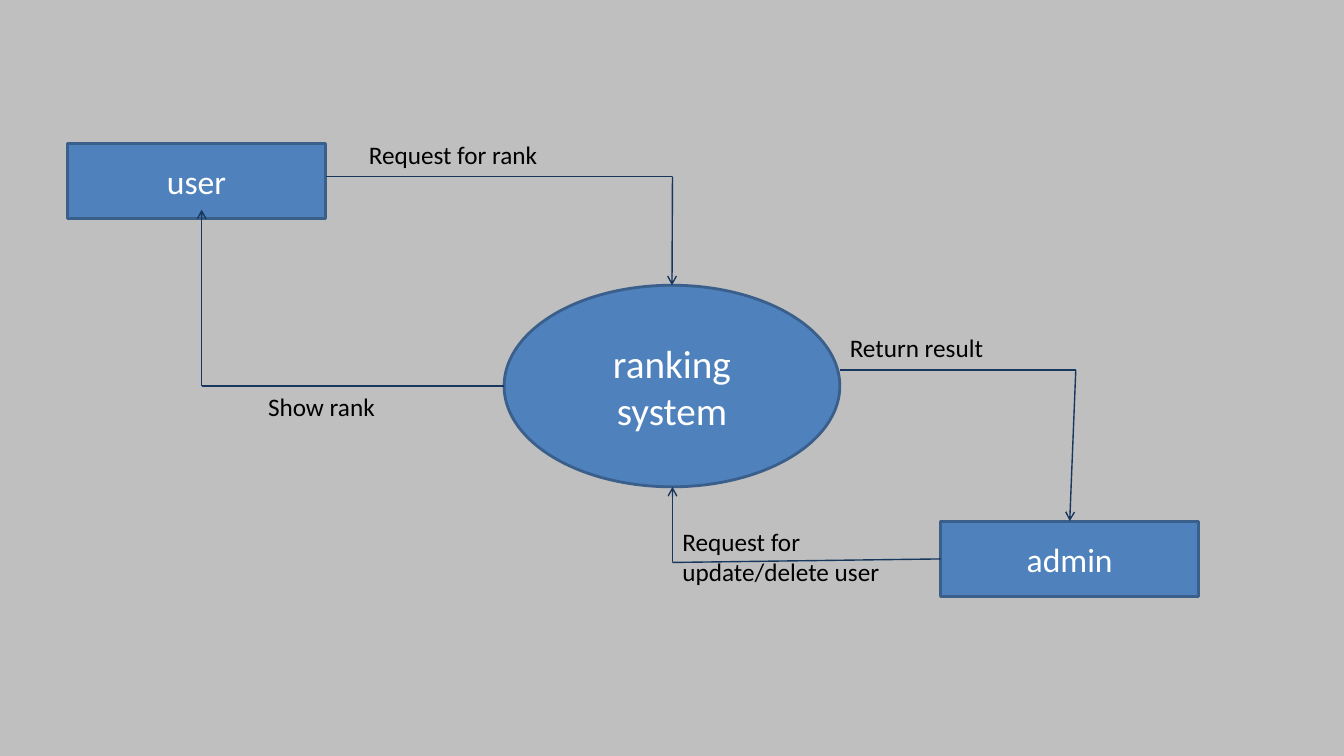
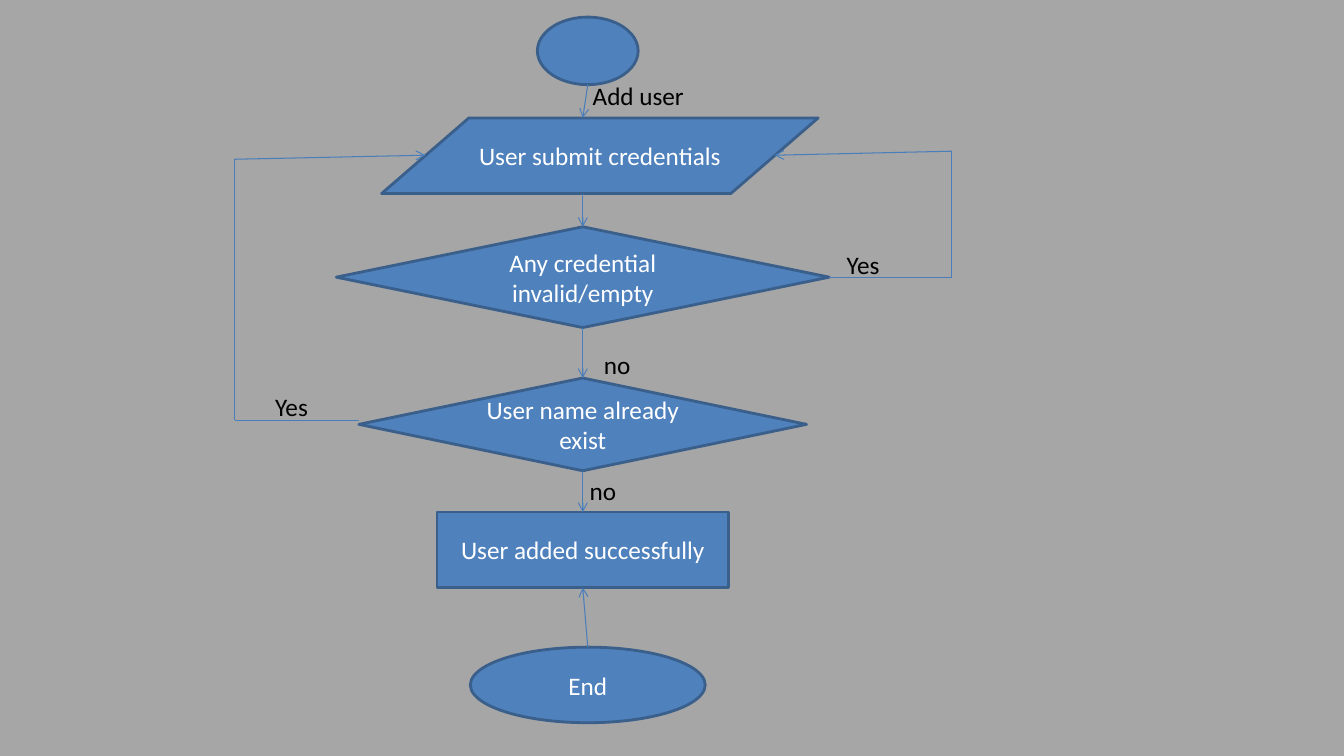
import dataclasses
import itertools

import pptx
import pptx.dml.color
import pptx.enum.shapes
import pptx.enum.text
import pptx.oxml
import pptx.oxml.ns
import pptx.util
from pptx.util import Inches

SHAPE = pptx.enum.shapes.MSO_SHAPE
STRAIGHT = pptx.enum.shapes.MSO_CONNECTOR.STRAIGHT
ALIGN = pptx.enum.text.PP_ALIGN
ANCHOR = pptx.enum.text.MSO_ANCHOR
TOP, LEFT, BOTTOM, RIGHT = range(4)


@dataclasses.dataclass(frozen=True)
class Theme:
    """Colours, type sizes and line widths of the deck."""
    font: str = "Calibri"
    node_fill: str = "4F81BD"
    node_line: str = "3A5F8B"
    node_text: str = "FFFFFF"
    label_text: str = "000000"
    context_back: str = "BFBFBF"
    context_route: str = "17375E"
    flow_back: str = "A6A6A6"
    flow_route: str = "4A7EBB"
    system_size: int = 28
    actor_size: int = 24
    body_size: int = 18
    node_width: float = 2
    context_width: float = 1
    flow_width: float = 0.75


THEME = Theme()


def rgb(code):
    """Turn a hex code into a colour."""
    return pptx.dml.color.RGBColor.from_string(code)


def apply(target, formats):
    """Set each format value on the target."""
    for name, value in formats.items():
        setattr(target, name, value)


def paint(fill, code):
    """Make a fill solid in one colour."""
    fill.solid()
    fill.fore_color.rgb = rgb(code)


def write(frame, text, size, color, align, anchor):
    """Put one formatted paragraph in a text frame."""
    apply(frame, {"word_wrap": True, "vertical_anchor": anchor, "text": text})
    paragraph = frame.paragraphs[0]
    paragraph.alignment = align
    for run in paragraph.runs:
        apply(run.font, {"name": THEME.font, "size": pptx.util.Pt(size)})
        run.font.color.rgb = rgb(color)


@dataclasses.dataclass
class Diagram:
    """A region whose nodes, labels and routes are placed from its corner."""
    slide: object
    box: tuple
    route_color: str
    route_width: float

    def place(self, x, y):
        """Return the slide position of a point in the region."""
        return Inches(self.box[0] + x), Inches(self.box[1] + y)

    def node(self, kind, text, x, y, width, height, size=THEME.body_size):
        """Add a filled shape with centred text."""
        shape = self.slide.shapes.add_shape(
            kind, *self.place(x, y), Inches(width), Inches(height))
        shape.shadow.inherit = False
        paint(shape.fill, THEME.node_fill)
        paint(shape.line.fill, THEME.node_line)
        shape.line.width = pptx.util.Pt(THEME.node_width)
        if text:
            write(shape.text_frame, text, size, THEME.node_text,
                  ALIGN.CENTER, ANCHOR.MIDDLE)
        return shape

    def label(self, text, x, y, width, height=0.4):
        """Add a plain label."""
        box = self.slide.shapes.add_textbox(
            *self.place(x, y), Inches(width), Inches(height))
        write(box.text_frame, text, THEME.body_size, THEME.label_text,
              ALIGN.LEFT, ANCHOR.TOP)

    def route(self, *stops):
        """Draw a line through points or (node, side) joints, with an arrow last."""
        for start, end in itertools.pairwise(stops):
            joints = [isinstance(stop[0], (int, float)) is False
                      for stop in (start, end)]
            ends = [(0, 0) if joined else self.place(*stop)
                    for stop, joined in zip((start, end), joints)]
            segment = self.slide.shapes.add_connector(STRAIGHT, *ends[0], *ends[1])
            if joints[0]:
                segment.begin_connect(*start)
            if joints[1]:
                segment.end_connect(*end)
            paint(segment.line.fill, self.route_color)
            segment.line.width = pptx.util.Pt(self.route_width)
            properties = segment._element.spPr
            if end is stops[-1]:
                properties.find(pptx.oxml.ns.qn("a:ln")).append(
                    pptx.oxml.parse_xml(
                        f'<a:tailEnd {pptx.oxml.ns.nsdecls("a")} type="arrow"/>'))
            properties.append(pptx.oxml.parse_xml(
                f'<a:effectLst {pptx.oxml.ns.nsdecls("a")}/>'))


def draw_ranking_context(slide, box):
    """Draw the exchange between user, ranking system and admin."""
    diagram = Diagram(slide, box, THEME.context_route, THEME.context_width)
    _, _, width, height = box
    actor_width, actor_height = 2.56, 0.75
    system_x, system_y, system_width, system_height = 4.33, 1.41, 3.33, 2
    middle_x, middle_y = 6, system_y + system_height / 2
    system_right = system_x + system_width
    system_bottom = system_y + system_height

    system = diagram.node(SHAPE.OVAL, "ranking system", system_x, system_y,
                          system_width, system_height, THEME.system_size)
    diagram.node(SHAPE.RECTANGLE, "user", 0, 0, actor_width, actor_height,
                 THEME.actor_size)
    admin = diagram.node(SHAPE.RECTANGLE, "admin", width - actor_width,
                         height - actor_height, actor_width, actor_height,
                         THEME.actor_size)

    diagram.route((actor_width, 0.33), (middle_x, 0.33), (system, TOP))
    diagram.route((system_x, middle_y), (1.33, middle_y), (1.33, 0.66))
    diagram.route((system_right, 2.25), (10, 2.25), (admin, TOP))
    diagram.route((admin, LEFT), (middle_x, 4.16), (middle_x, system_bottom))

    diagram.label("Request for rank", 2.89, -0.09, 3.22)
    diagram.label("Show rank", 1.89, middle_y, 2.22)
    diagram.label("Request for update/delete user", middle_x, 3.75, 2.78, 0.7)
    diagram.label("Return result", system_right, 1.83, 2.67)


def draw_add_user_flow(slide, box):
    """Draw the flowchart for adding a user."""
    diagram = Diagram(slide, box, THEME.flow_route, THEME.flow_width)
    right = box[2]
    axis, terminal_axis = 3.45, 3.5
    submit_axis, submit_width, submit_middle = 3.62, 4.33, 1.37
    slant_reach = submit_width * 0.4
    steps = (
        (SHAPE.OVAL, "", terminal_axis, 0, 1, 0.67),
        (SHAPE.FLOWCHART_DATA, "User submit credentials",
         submit_axis, 1, submit_width, 0.75),
        (SHAPE.FLOWCHART_DECISION, "Any credential invalid/empty",
         axis, 2.08, 4.89, 1),
        (SHAPE.FLOWCHART_DECISION, "User name already exist",
         axis, 3.58, 4.44, 0.92),
        (SHAPE.RECTANGLE, "User added successfully", axis, 4.91, 2.89, 0.75),
        (SHAPE.OVAL, "End", terminal_axis, 6.25, 2.33, 0.75),
    )
    _, _, invalid, exists, added, _ = [
        diagram.node(kind, text, center - width / 2, top, width, height)
        for kind, text, center, top, width, height in steps]

    diagram.route((terminal_axis, 0.67), (axis, 1))
    diagram.route((axis, 1.75), (invalid, TOP))
    diagram.route((invalid, BOTTOM), (exists, TOP))
    diagram.route((exists, BOTTOM), (added, TOP))
    diagram.route((terminal_axis, 6.25), (added, BOTTOM))
    diagram.route((invalid, RIGHT), (right, 2.58), (right, 1.33),
                  (submit_axis + slant_reach, submit_middle))
    diagram.route((1.23, 4), (0, 4), (0, 1.41),
                  (submit_axis - slant_reach, submit_middle))

    for text, x, y, width in (("Add user", axis, 0.58, 1.78),
                              ("no", 3.56, 3.25, 0.89),
                              ("Yes", 5.97, 2.25, 0.6),
                              ("no", 3.42, 4.5, 0.59),
                              ("Yes", 0.3, 3.66, 0.6)):
        diagram.label(text, x, y, width)


def main():
    """Build and save the deck."""
    deck = pptx.Presentation()
    apply(deck, {"slide_width": Inches(13.33), "slide_height": Inches(7.5)})
    blank = deck.slide_layouts.get_by_name("Blank")
    for draw, background, box in (
            (draw_ranking_context, THEME.context_back, (0.67, 1.42, 11.22, 4.5)),
            (draw_add_user_flow, THEME.flow_back, (2.33, 0.17, 7.11, 7))):
        slide = deck.slides.add_slide(blank)
        paint(slide.background.fill, background)
        draw(slide, box)
    deck.save("out.pptx")


if __name__ == "__main__":
    main()
